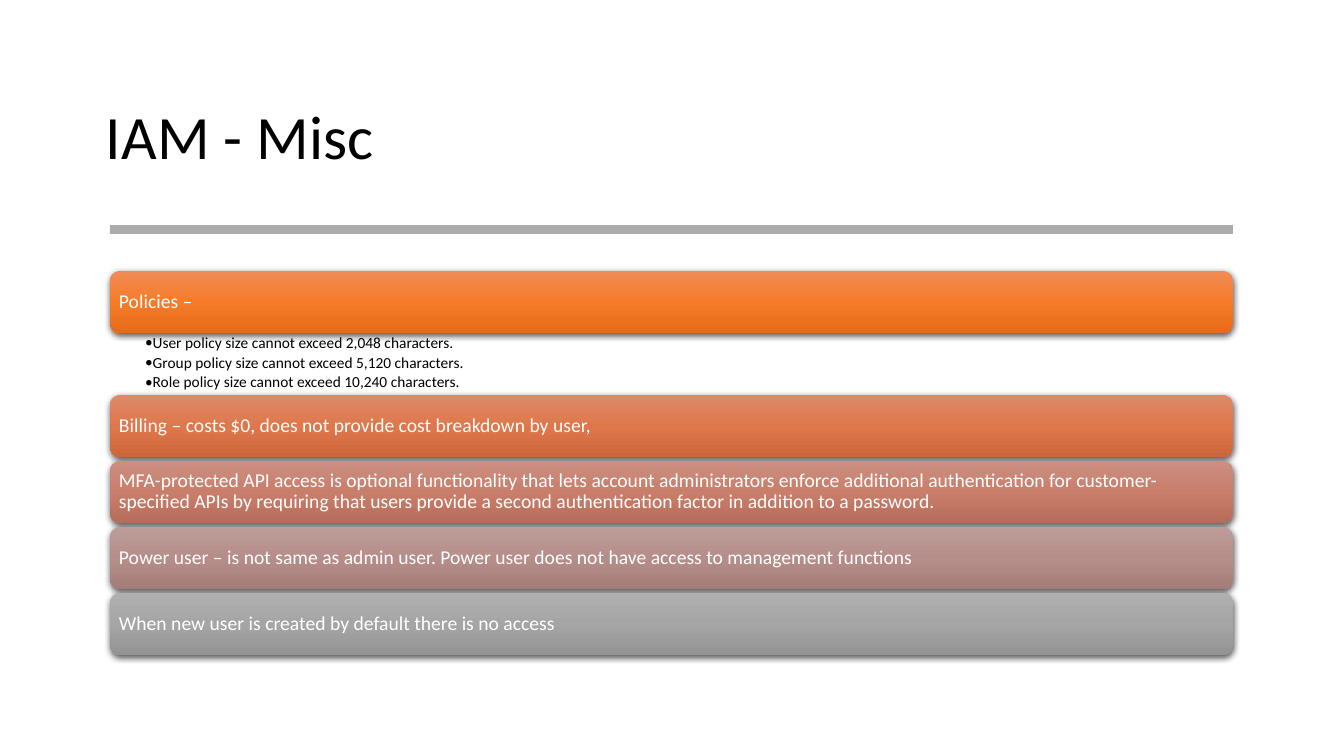
from lxml import etree
from pptx import Presentation
from pptx.dml.color import RGBColor
from pptx.enum.shapes import MSO_SHAPE
from pptx.enum.text import MSO_ANCHOR, MSO_AUTO_SIZE, PP_ALIGN
from pptx.oxml import parse_xml
from pptx.oxml.ns import nsdecls, qn
from pptx.util import Pt

RECT, ROUNDED = MSO_SHAPE.RECTANGLE, MSO_SHAPE.ROUNDED_RECTANGLE
TOP, MIDDLE = MSO_ANCHOR.TOP, MSO_ANCHOR.MIDDLE
LEFT, NO_FIT = PP_ALIGN.LEFT, MSO_AUTO_SIZE.NONE

# Content: bar text, gradient colours from top to bottom, bullets below
TITLE = "IAM - Misc"
BARS = [
    ("Policies –", ("F18C57", "F67B28", "E56C19"), [
        "User policy size cannot exceed 2,048 characters.",
        "Group policy size cannot exceed 5,120 characters.",
        "Role policy size cannot exceed 10,240 characters.",
    ]),
    ("Billing – costs $0, does not provide cost breakdown by user,",
     ("DD8A6A", "DE774B", "CD673B"), []),
    ("MFA-protected API access is optional functionality that lets account "
     "administrators enforce additional authentication for customer-specified "
     "APIs by requiring that users provide a second authentication factor in "
     "addition to a password.", ("CB8F81", "C97E6B", "B76D5B"), []),
    ("Power user – is not same as admin user. Power user does not have access "
     "to management functions", ("BC9C99", "B68E89", "A47C78"), []),
    ("When new user is created by default there is no access",
     ("AFAFAF", "A5A5A5", "939393"), []),
]

BLACK = RGBColor(0x00, 0x00, 0x00)
WHITE = RGBColor(0xFF, 0xFF, 0xFF)
GRAY = RGBColor(0x80, 0x80, 0x80)
FONT = "Calibri"

# Layout in px
PAGE_WIDTH, PAGE_HEIGHT = 1344, 756
BAR_LEFT, BAR_WIDTH, BAR_HEIGHT, BAR_GAP = 110, 1123, 62, 4
FIRST_TOP, BULLETS_HEIGHT, BULLET_INDENT = 271, 62, 6


def px(length):
    return round(length * 914400 / 100.8)


def place(box, left, top, width, height):
    box.left, box.top, box.width, box.height = map(px, (left, top, width, height))


def write(box, lines, size, color, anchor, margins, space_after=0):
    frame = box.text_frame
    frame.text = "\n".join(lines)
    sides = ("margin_left", "margin_top", "margin_right", "margin_bottom")
    settings = {"word_wrap": True, "auto_size": NO_FIT, "vertical_anchor": anchor,
                **{side: px(margin) for side, margin in zip(sides, margins)}}
    for name, value in settings.items():
        setattr(frame, name, value)
    for para in frame.paragraphs:
        formats = {"alignment": LEFT, "line_spacing": 0.9,
                   "space_before": Pt(0), "space_after": Pt(space_after)}
        for name, value in formats.items():
            setattr(para, name, value)
        for name, value in {"name": FONT, "size": Pt(size)}.items():
            setattr(para.font, name, value)
        para.font.color.rgb = color


def add_panel(kind, *area):
    panel = page.shapes.add_shape(kind, *map(px, area))
    panel.line.fill.background()
    panel.shadow.inherit = False
    return panel


def shade(bar, colors):
    bar.fill.gradient()
    bar.fill.gradient_angle = 270
    properties = bar.fill._xPr
    stops = properties.find(qn("a:gradFill")).find(qn("a:gsLst"))
    for stop in list(stops):
        stops.remove(stop)
    for index, color in enumerate(colors):
        stop = etree.SubElement(stops, qn("a:gs"), pos=str(index * 50000))
        etree.SubElement(stop, qn("a:srgbClr"), val=color)
    properties.find(qn("a:effectLst")).append(parse_xml(
        f'<a:outerShdw {nsdecls("a")} blurRad="{Pt(4.5)}" dist="{Pt(1.5)}" '
        'dir="5400000" algn="ctr" rotWithShape="0"><a:srgbClr val="000000">'
        '<a:alpha val="63000"/></a:srgbClr></a:outerShdw>'))


def add_bullets(box):
    for para in box.text_frame.paragraphs:
        properties = para._p.get_or_add_pPr()
        properties.set("marL", str(px(BULLET_INDENT)))
        properties.set("indent", str(-px(BULLET_INDENT)))
        etree.SubElement(properties, qn("a:buFont"), typeface=FONT)
        etree.SubElement(properties, qn("a:buChar"), char="•")


deck = Presentation()
deck.slide_width, deck.slide_height = px(PAGE_WIDTH), px(PAGE_HEIGHT)
page = deck.slides.add_slide(deck.slide_layouts[1])
title, body = page.placeholders

# Title and rule
place(title, 96, 67, 1152, 146)
write(title, [TITLE], 44, BLACK, MIDDLE, (10, 5, 10, 5))
rule = add_panel(RECT, BAR_LEFT, 225, BAR_WIDTH, 9)
rule.fill.solid()
rule.fill.fore_color.rgb = GRAY
rule_color = rule.fill._xPr.find(qn("a:solidFill"))[0]
etree.SubElement(rule_color, qn("a:alpha"), val="65000")

# Stack of bars, with the bullets in the body placeholder
top = FIRST_TOP
for text, colors, bullets in BARS:
    bar = add_panel(ROUNDED, BAR_LEFT, top, BAR_WIDTH, BAR_HEIGHT)
    shade(bar, colors)
    write(bar, [text], 14, WHITE, MIDDLE, (6, 6, 6, 6))
    top += BAR_HEIGHT
    if bullets:
        place(body, BAR_LEFT, top, BAR_WIDTH, BULLETS_HEIGHT)
        write(body, bullets, 11, BLACK, TOP, (35, 2, 11, 2), space_after=2.2)
        add_bullets(body)
        top += BULLETS_HEIGHT
    else:
        top += BAR_GAP

deck.save("out.pptx")
